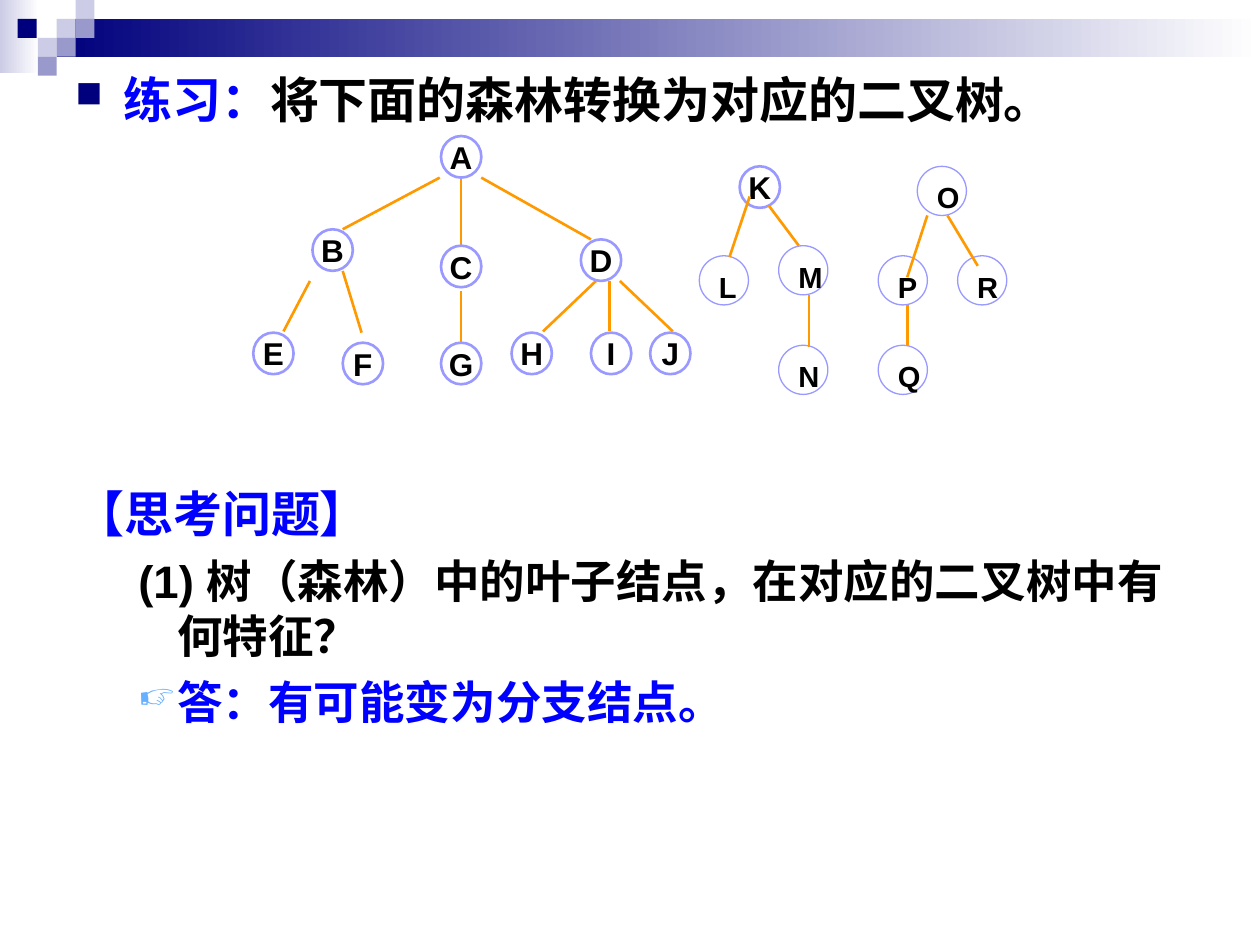
"""Build a slide asking how a forest converts to a binary tree."""
from dataclasses import dataclass

import lxml.etree
import pptx
import pptx.dml.color
import pptx.enum.shapes
import pptx.enum.text
import pptx.oxml.ns
import pptx.util

Inches = pptx.util.Inches
Pt = pptx.util.Pt
SHAPE = pptx.enum.shapes.MSO_SHAPE
ALIGN = pptx.enum.text.PP_ALIGN
ANCHOR = pptx.enum.text.MSO_ANCHOR
qn = pptx.oxml.ns.qn

COLORS = {
    "navy": "00007D", "lilac": "CCCCE6", "violet": "9999CC", "white": "FFFFFF",
    "black": "000000", "blue": "0000FF", "sky": "67AFFF",
    "edge": "FF9900", "ring": "9999FF",
}


@dataclass(frozen=True)
class NodeStyle:
    width: float
    height: float
    line: float
    size: float
    frame: dict
    align: ALIGN


@dataclass(frozen=True)
class Node:
    label: str
    x: float
    y: float
    style: NodeStyle


@dataclass(frozen=True)
class Edge:
    x1: float
    y1: float
    x2: float
    y2: float


@dataclass(frozen=True)
class Bullet:
    char: str
    color: str
    percent: int


@dataclass(frozen=True)
class Para:
    runs: tuple
    size: float
    before: float
    left: float
    indent: float
    level: int = 0
    bullet: Bullet | None = None


CENTERED = NodeStyle(0.32, 0.33, 1.5, 18, {"word_wrap": False, "vertical_anchor": ANCHOR.MIDDLE}, ALIGN.CENTER)
OFFSET = NodeStyle(0.39, 0.39, 0.75, 16.6, {"word_wrap": True, "vertical_anchor": ANCHOR.TOP}, ALIGN.JUSTIFY)

NODES = [
    Node("A", 3.5, 1.08, CENTERED), Node("B", 2.48, 1.82, CENTERED),
    Node("C", 3.5, 1.95, CENTERED), Node("D", 4.61, 1.9, CENTERED),
    Node("E", 2.01, 2.64, CENTERED), Node("F", 2.72, 2.72, CENTERED),
    Node("G", 3.5, 2.72, CENTERED), Node("H", 4.06, 2.64, CENTERED),
    Node("I", 4.69, 2.64, CENTERED), Node("J", 5.16, 2.64, CENTERED),
    Node("K", 5.87, 1.32, CENTERED), Node("L", 5.55, 2.03, OFFSET),
    Node("M", 6.18, 1.95, OFFSET), Node("N", 6.18, 2.74, OFFSET),
    Node("O", 7.28, 1.32, OFFSET), Node("P", 6.97, 2.03, OFFSET),
    Node("Q", 6.97, 2.74, OFFSET), Node("R", 7.6, 2.03, OFFSET),
]
EDGES_BEHIND = [
    Edge(3.49, 1.41, 2.72, 1.82), Edge(3.82, 1.41, 4.69, 1.9),
    Edge(3.66, 1.41, 3.66, 1.98), Edge(3.66, 2.31, 3.66, 2.72),
    Edge(7.2, 2.42, 7.2, 2.9), Edge(4.84, 2.23, 4.84, 2.63),
    Edge(2.72, 2.15, 2.87, 2.64), Edge(2.46, 2.23, 2.25, 2.63),
    Edge(4.92, 2.23, 5.34, 2.63), Edge(4.73, 2.23, 4.31, 2.63),
]
EDGES_FRONT = [
    Edge(6.1, 1.63, 6.34, 1.95), Edge(7.36, 1.71, 7.2, 2.2),
    Edge(6.42, 2.34, 6.42, 2.75), Edge(7.52, 1.71, 7.76, 2.11),
    Edge(5.95, 1.56, 5.79, 2.04),
]
BANDS = [(0, 0, 0.31, 0.58, "lilac"), (0.45, 0.15, 9.55, 0.3, "navy")]
TILE = 0.15
TILES = [
    (0.45, 0.15, "lilac"), (0.6, 0, "lilac"), (0.6, 0.15, "violet"),
    (0.3, 0.3, "lilac"), (0.14, 0.15, "navy"), (0.45, 0.3, "violet"),
    (0.3, 0.45, "violet"),
]
PARAS = [
    Para((("练习：", "blue"), ("将下面的森林转换为对应的二叉树。", "black")),
         28, 0, 0.38, -0.38, bullet=Bullet("■", "navy", 75)),
    Para((("【思考问题】", "blue"),), 28, 203, 0.38, -0.38),
    Para((("(1) 树（森林）中的叶子结点，在对应的二叉树中有何特征？", "black"),),
         26, 6.5, 0.81, -0.31, 1),
    Para((("答：有可能变为分支结点。", "blue"),),
         26, 6.5, 0.81, -0.31, 1, Bullet("☞", "sky", 80)),
]


def rgb(name: str) -> pptx.dml.color.RGBColor:
    """Return the named colour."""
    return pptx.dml.color.RGBColor.from_string(COLORS[name])


def add_run(p, text: str, size: float, color: str) -> None:
    """Add a bold run to a paragraph."""
    r = p.add_run()
    r.text = text
    for key, value in {"name": "Arial", "size": Pt(size), "bold": True}.items():
        setattr(r.font, key, value)
    r.font.color.rgb = rgb(color)


def add_block(s, kind: SHAPE, x: float, y: float, w: float, h: float):
    """Add a shape without a shadow."""
    sp = s.shapes.add_shape(kind, Inches(x), Inches(y), Inches(w), Inches(h))
    sp.shadow.inherit = False
    return sp


def add_band(s, x: float, y: float, w: float, h: float, color: str) -> None:
    """Add a rectangle fading to white."""
    sp = add_block(s, SHAPE.RECTANGLE, x, y, w, h)
    sp.line.fill.background()
    sp.fill.gradient()
    sp.fill.gradient_angle = 0
    for stop, name in zip(sp.fill.gradient_stops, (color, "white")):
        stop.color.rgb = rgb(name)


def add_tile(s, x: float, y: float, color: str) -> None:
    """Add a plain corner square."""
    sp = add_block(s, SHAPE.RECTANGLE, x, y, TILE, TILE)
    sp.line.fill.background()
    sp.fill.solid()
    sp.fill.fore_color.rgb = rgb(color)


def add_node(s, node: Node) -> None:
    """Add a labelled tree node."""
    style = node.style
    sp = add_block(s, SHAPE.OVAL, node.x, node.y, style.width, style.height)
    sp.fill.solid()
    sp.fill.fore_color.rgb = rgb("white")
    sp.line.color.rgb = rgb("ring")
    sp.line.width = Pt(style.line)
    tf = sp.text_frame
    for key, value in style.frame.items():
        setattr(tf, key, value)
    p = tf.paragraphs[0]
    p.alignment = style.align
    add_run(p, node.label, style.size, "black")


def add_edge(s, edge: Edge) -> None:
    """Add a straight branch line."""
    ends = map(Inches, (edge.x1, edge.y1, edge.x2, edge.y2))
    line = s.shapes.add_connector(pptx.enum.shapes.MSO_CONNECTOR.STRAIGHT, *ends)
    line.line.color.rgb = rgb("edge")
    line.line.width = Pt(1.5)
    lxml.etree.SubElement(line._element.spPr, qn("a:effectLst"))


def add_bullet(p, bullet: Bullet) -> None:
    """Give a paragraph a coloured bullet."""
    ppr = p._p.get_or_add_pPr()
    clr = lxml.etree.SubElement(ppr, qn("a:buClr"))
    lxml.etree.SubElement(clr, qn("a:srgbClr"), val=COLORS[bullet.color])
    lxml.etree.SubElement(ppr, qn("a:buSzPct"), val=str(bullet.percent * 1000))
    lxml.etree.SubElement(ppr, qn("a:buChar"), char=bullet.char)


def add_body(s, paras: list[Para]) -> None:
    """Add the exercise text."""
    tf = s.shapes.add_textbox(Inches(0.5), Inches(0.5), Inches(9), Inches(7)).text_frame
    tf.word_wrap = True
    for i, para in enumerate(paras):
        p = tf.add_paragraph() if i else tf.paragraphs[0]
        for key, value in {"level": para.level, "space_before": Pt(para.before)}.items():
            setattr(p, key, value)
        ppr = p._p.get_or_add_pPr()
        for key, value in {"marL": para.left, "indent": para.indent}.items():
            ppr.set(key, str(Inches(value)))
        if para.bullet:
            add_bullet(p, para.bullet)
        for text, color in para.runs:
            add_run(p, text, para.size, color)


def main() -> None:
    """Build and save the slide."""
    prs = pptx.Presentation()
    prs.slide_width, prs.slide_height = Inches(10), Inches(7.5)
    s = prs.slides.add_slide(prs.slide_layouts[6])
    for band in BANDS:
        add_band(s, *band)
    for tile in TILES:
        add_tile(s, *tile)
    add_body(s, PARAS)
    for draw, items in ((add_edge, EDGES_BEHIND), (add_node, NODES), (add_edge, EDGES_FRONT)):
        for item in items:
            draw(s, item)
    prs.save("out.pptx")


if __name__ == "__main__":
    main()
